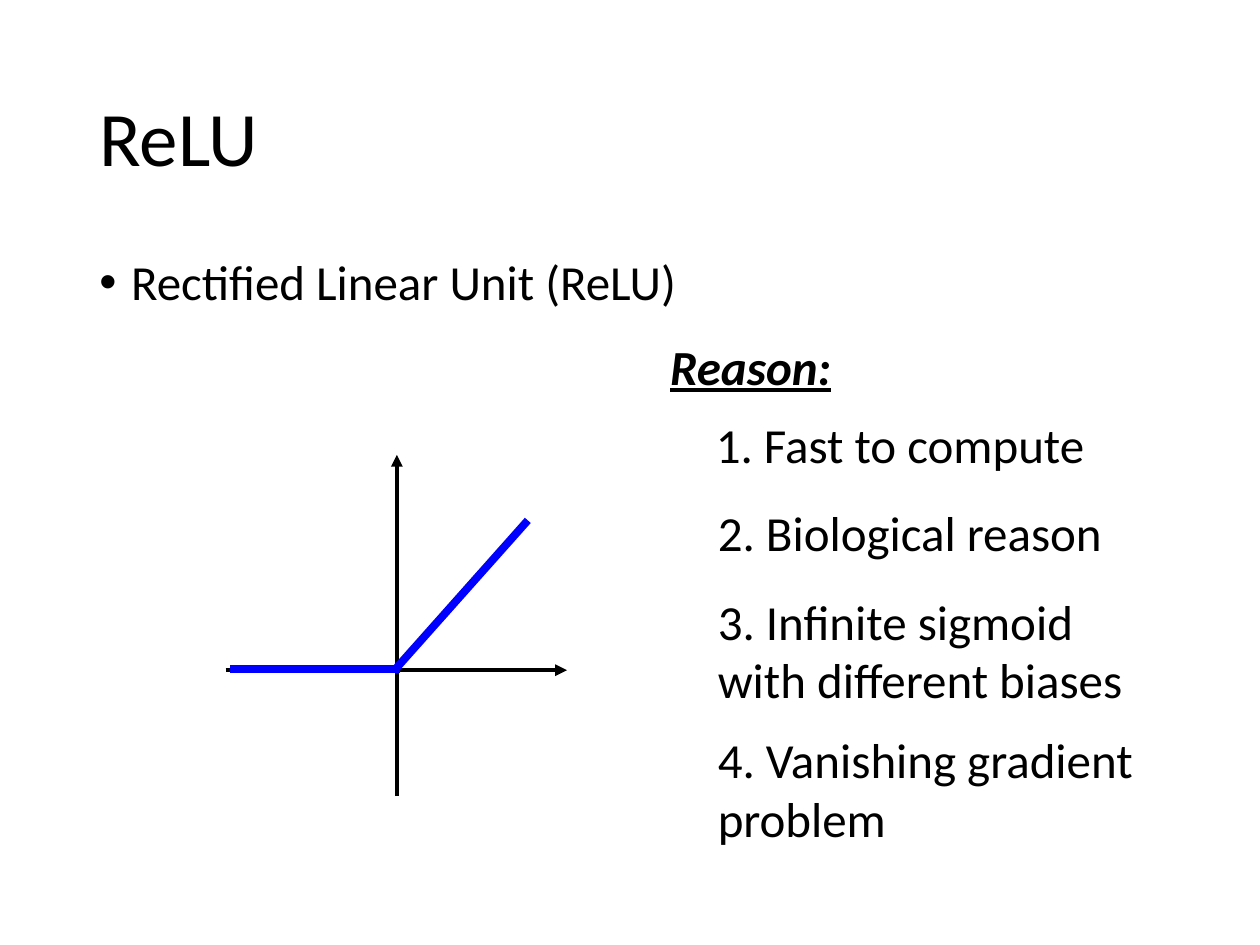
"""Build a slide that introduces the ReLU activation function and the reasons for using it."""
from lxml import etree
from pptx import Presentation
from pptx import util as u
from pptx.dml.color import RGBColor
from pptx.enum import shapes, text
from pptx.oxml.ns import qn

COLORS = {"ink": "000000", "curve": "0000FF"}


def style(para, size):
    para.font.name = "Calibri"
    para.font.size = u.Pt(size)
    para.font.color.rgb = RGBColor.from_string(COLORS["ink"])


def place(shape, left, top, width, height):
    shape.left, shape.top = u.Cm(left), u.Cm(top)
    shape.width, shape.height = u.Cm(width), u.Cm(height)


deck = Presentation()
deck.slide_width, deck.slide_height = u.Cm(25.4), u.Cm(19.05)
page = deck.slides.add_slide(deck.slide_layouts[1])

title = page.shapes.title
place(title, 1.75, 1.01, 21.9, 3.68)
title.text_frame.text = "ReLU"
title.text_frame.vertical_anchor = text.MSO_ANCHOR.MIDDLE
heading = title.text_frame.paragraphs[0]
heading.alignment = text.PP_ALIGN.LEFT
heading.line_spacing = 0.9
style(heading, 44)

body = page.placeholders[1]
place(body, 1.75, 5.08, 21.9, 12.09)
body.text_frame.text = "Rectified Linear Unit (ReLU)"
bullet = body.text_frame.paragraphs[0]
bullet.line_spacing = 0.9
bullet.space_before = u.Pt(0)
properties = bullet._p.get_or_add_pPr()
properties.set("marL", str(u.Cm(0.64)))
properties.set("indent", str(u.Cm(-0.64)))
etree.SubElement(properties, qn("a:buFont")).set("typeface", "Arial")
etree.SubElement(properties, qn("a:buChar")).set("char", "•")
style(bullet, 28)

reasons = [
    ("Reason:", 13.26, 6.65, 1.45),
    ("1. Fast to compute", 14.18, 8.23, 1.45),
    ("2. Biological reason", 14.22, 10.01, 1.45),
    ("3. Infinite sigmoid with different biases", 14.22, 11.79, 2.64),
    ("4. Vanishing gradient problem", 14.22, 14.58, 2.64),
]
for wording, left, top, height in reasons:
    box = page.shapes.add_textbox(u.Cm(left), u.Cm(top), u.Cm(9.2), u.Cm(height))
    box.text_frame.word_wrap = True
    box.text_frame.auto_size = text.MSO_AUTO_SIZE.SHAPE_TO_FIT_TEXT
    box.text_frame.text = wording
    para = box.text_frame.paragraphs[0]
    style(para, 28)
    if wording == "Reason:":
        para.font.bold = para.font.italic = para.font.underline = True

graph = page.shapes.add_group_shape()
graph_lines = [
    ("ink", 2.25, (4.55, 13.51), (11.43, 13.51)),
    ("ink", 2.25, (8, 16.05), (8, 9.17)),
    ("curve", 4.5, (4.64, 13.49), (8.07, 13.49)),
    ("curve", 4.5, (7.97, 13.49), (10.64, 10.49)),
]
for color, weight, start, end in graph_lines:
    stroke = graph.shapes.add_connector(
        shapes.MSO_CONNECTOR.STRAIGHT, *map(u.Cm, start + end))
    stroke.line.width = u.Pt(weight)
    stroke.line.color.rgb = RGBColor.from_string(COLORS[color])
    if color == "ink":
        etree.SubElement(stroke.line._get_or_add_ln(), qn("a:tailEnd")).set("type", "triangle")
    etree.SubElement(stroke._element.spPr, qn("a:effectLst"))

deck.save("out.pptx")
